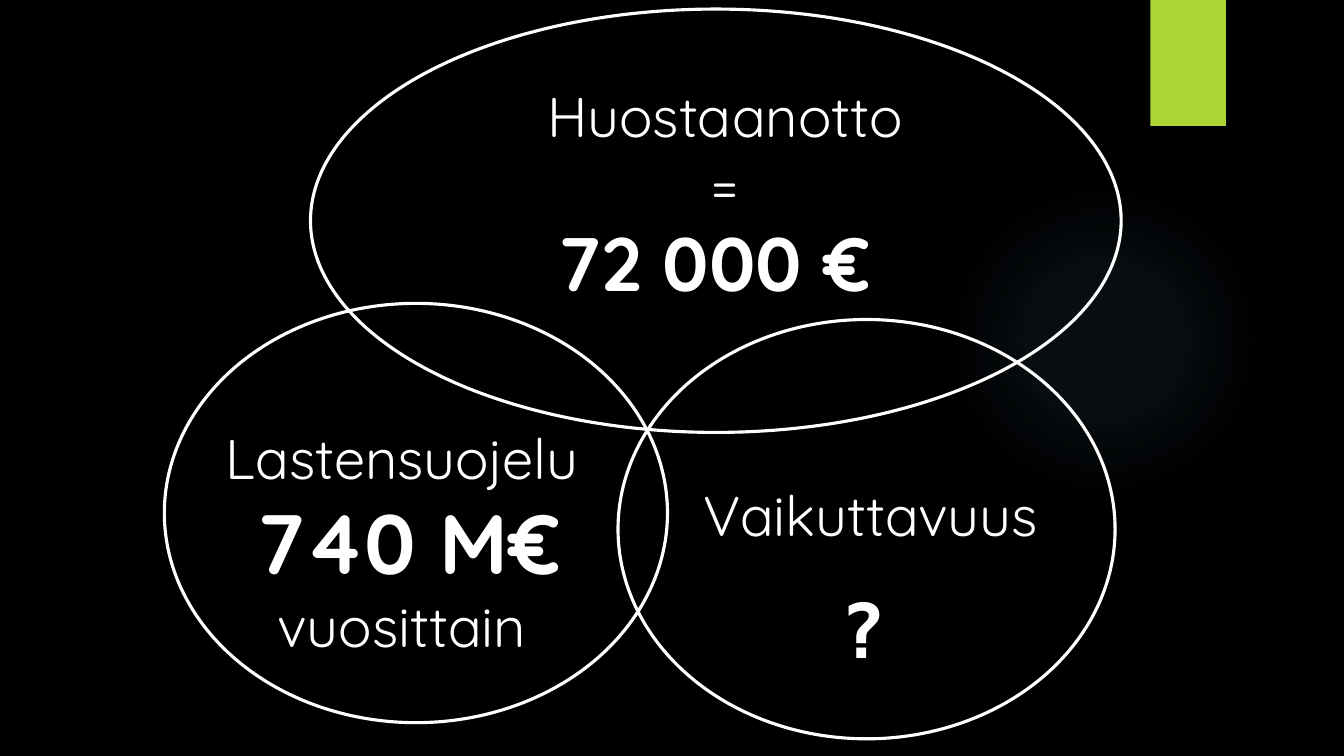
from dataclasses import dataclass

from pptx import Presentation
from pptx.dml.color import RGBColor
from pptx.enum.shapes import MSO_SHAPE as Shape
from pptx.enum.text import PP_ALIGN as Align
from pptx.oxml import parse_xml
from pptx.oxml.ns import nsdecls
from pptx.util import Inches, Pt


@dataclass(frozen=True)
class Theme:
    background: RGBColor = RGBColor(0x00, 0x00, 0x00)
    ink: RGBColor = RGBColor(0xFF, 0xFF, 0xFF)
    accent: RGBColor = RGBColor(0xAC, 0xD4, 0x33)
    glow: str = "7AC4F0"
    outline: float = 2.25
    label: int = 40
    figure: int = 54
    total: int = 60
    face: str = "Quicksand"
    mark_face: str = "DejaVu Sans Mono"


theme = Theme()


def add_plain_shape(kind, place):
    """Add a shape with no shadow, fill or line."""
    shape = page.shapes.add_shape(kind, *map(Inches, place))
    shape.shadow.inherit = False
    shape.fill.background()
    shape.line.fill.background()
    return shape


deck = Presentation()
deck.slide_width, deck.slide_height = Inches(13.33), Inches(7.5)
page = deck.slides.add_slide(deck.slide_layouts[6])
page.background.fill.solid()
page.background.fill.fore_color.rgb = theme.background

# Soft glow and green tab behind the diagram
glow = add_plain_shape(Shape.OVAL, (9.41, 1.83, 3.08, 3.08))
stops = "".join(
    f'<a:gs pos="{place * 1000}"><a:srgbClr val="{theme.glow}">'
    f'<a:alpha val="{opacity * 1000}"/></a:srgbClr></a:gs>'
    for place, opacity in ((0, 7), (36, 6), (69, 0))
)
gradient = parse_xml(
    f'<a:gradFill {nsdecls("a")} rotWithShape="1"><a:gsLst>{stops}</a:gsLst>'
    '<a:path path="circle"><a:fillToRect l="50000" t="50000" r="50000" b="50000"/>'
    "</a:path></a:gradFill>"
)
properties = glow.element.spPr
properties.replace(properties.find("{*}noFill"), gradient)

tab = add_plain_shape(Shape.RECTANGLE, (11.41, 0, 0.75, 1.25))
tab.fill.solid()
tab.fill.fore_color.rgb = theme.accent

# Three overlapping rings
for place in ((3.08, 0.09, 8.04, 4.2), (1.63, 3.01, 4.99, 4.16), (6.13, 3.17, 4.93, 4.16)):
    ring = add_plain_shape(Shape.OVAL, place)
    ring.line.color.rgb = theme.ink
    ring.line.width = Pt(theme.outline)

# Captions: place, alignment, paragraphs of (words, format) spans.
# The spaces around the figures set how they centre and where the line wraps.
label = dict(name=theme.face, size=Pt(theme.label), bold=False)
figure = dict(name=theme.face, size=Pt(theme.figure), bold=True)
total = dict(name=theme.face, size=Pt(theme.total), bold=True)
mark = dict(name=theme.mark_face, size=Pt(theme.figure), bold=True)
captions = [
    ((3.99, 0.76, 6.4, 2.66), Align.CENTER,
     [[("Huostaanotto", label)], [("=", label)], [("72 000 € ", figure)]]),
    ((1.47, 4.15, 5.03, 3.06), Align.CENTER,
     [[("Lastensuojelu", label)], [(" ", label), ("740 M€ ", total), ("vuosittain", label)]]),
    ((6.88, 4.72, 4.22, 1.68), Align.LEFT, [[("Vaikuttavuus", label)]]),
    ((8.24, 5.73, 0.71, 1.92), Align.LEFT, [[("?", mark)]]),
]
for place, alignment, lines in captions:
    box = page.shapes.add_textbox(*map(Inches, place))
    frame = box.text_frame
    frame.word_wrap = True
    for number, line in enumerate(lines):
        para = frame.add_paragraph() if number else frame.paragraphs[0]
        para.alignment = alignment
        for words, values in line:
            span = para.add_run()
            span.text = words
            span.font.color.rgb = theme.ink
            for name, value in values.items():
                setattr(span.font, name, value)

deck.save("out.pptx")
